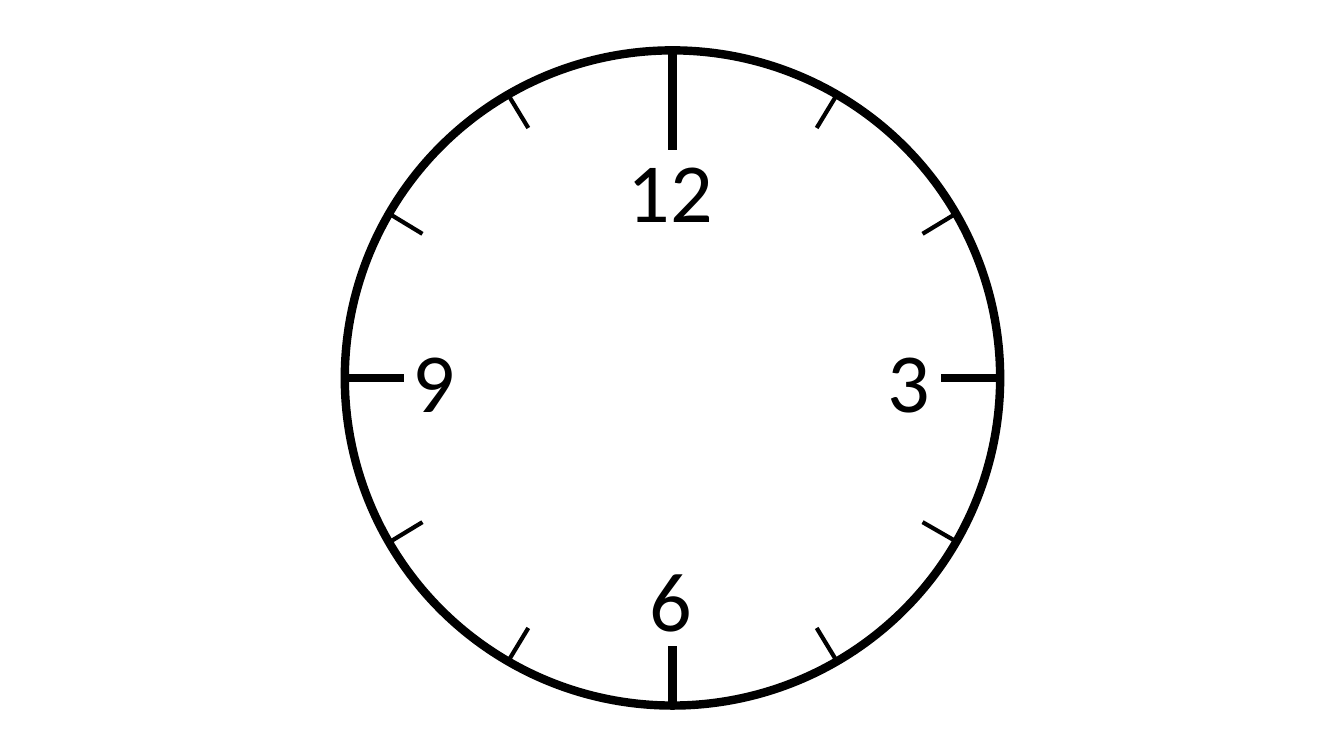
import math
from dataclasses import dataclass

import pptx
import pptx.dml.color
import pptx.enum.shapes
import pptx.enum.text
import pptx.oxml.ns
import pptx.util
from lxml import etree

PX = 9144  # EMU per px, 100 px to the inch
SLIDE_W, SLIDE_H = 1333, 750
CENTER_X, CENTER_Y, RADIUS = 667, 375, 325
MINOR_TICK, MAJOR_TICK, TOP_TICK = 39, 59, 99
NUMERAL_H = 111
# numeral, left, top, width
NUMERALS = [
    ("12", 613, 132, 105),
    ("6", 634, 538, 63),
    ("3", 870, 321, 63),
    ("9", 399, 321, 63),
]


@dataclass(frozen=True)
class Theme:
    ink: pptx.dml.color.RGBColor = pptx.dml.color.RGBColor(0, 0, 0)
    font: str = "Calibri"
    numeral_pt: int = 60
    heavy_pt: int = 6
    light_pt: int = 3


THEME = Theme()


def px(*lengths):
    return [pptx.util.Emu(round(v) * PX) for v in lengths]


def style_line(s, weight):
    s.line.color.rgb = THEME.ink
    s.line.width = pptx.util.Pt(weight)


def add_rim(slide):
    s = slide.shapes.add_shape(
        pptx.enum.shapes.MSO_SHAPE.OVAL,
        *px(CENTER_X - RADIUS, CENTER_Y - RADIUS, 2 * RADIUS, 2 * RADIUS))
    s.shadow.inherit = False
    s.fill.background()
    style_line(s, THEME.heavy_pt)


def dial_point(hour, radius):
    """Return x and y at a distance from the centre, in an hour's direction."""
    angle = math.radians(30 * hour)
    return (CENTER_X + radius * math.sin(angle),
            CENTER_Y - radius * math.cos(angle))


def add_tick(slide, hour):
    is_major = hour % 3 == 0
    length = TOP_TICK if hour == 12 else MAJOR_TICK if is_major else MINOR_TICK
    s = slide.shapes.add_connector(
        pptx.enum.shapes.MSO_CONNECTOR.STRAIGHT,
        *px(*dial_point(hour, RADIUS), *dial_point(hour, RADIUS - length)))
    style_line(s, THEME.heavy_pt if is_major else THEME.light_pt)
    etree.SubElement(s._element.spPr, pptx.oxml.ns.qn("a:effectLst"))


def add_numeral(slide, text, left, top, width):
    s = slide.shapes.add_textbox(*px(left, top, width, NUMERAL_H))
    tf = s.text_frame
    tf.word_wrap = False
    tf.auto_size = pptx.enum.text.MSO_AUTO_SIZE.SHAPE_TO_FIT_TEXT
    p = tf.paragraphs[0]
    p.text = text
    p.font.name = THEME.font
    p.font.size = pptx.util.Pt(THEME.numeral_pt)
    p.font.color.rgb = THEME.ink


def main():
    prs = pptx.Presentation()
    prs.slide_width, prs.slide_height = px(SLIDE_W, SLIDE_H)
    slide = prs.slides.add_slide(prs.slide_layouts[6])
    add_rim(slide)
    for hour in range(1, 13):
        add_tick(slide, hour)
    for numeral in NUMERALS:
        add_numeral(slide, *numeral)
    prs.save("out.pptx")


if __name__ == "__main__":
    main()
